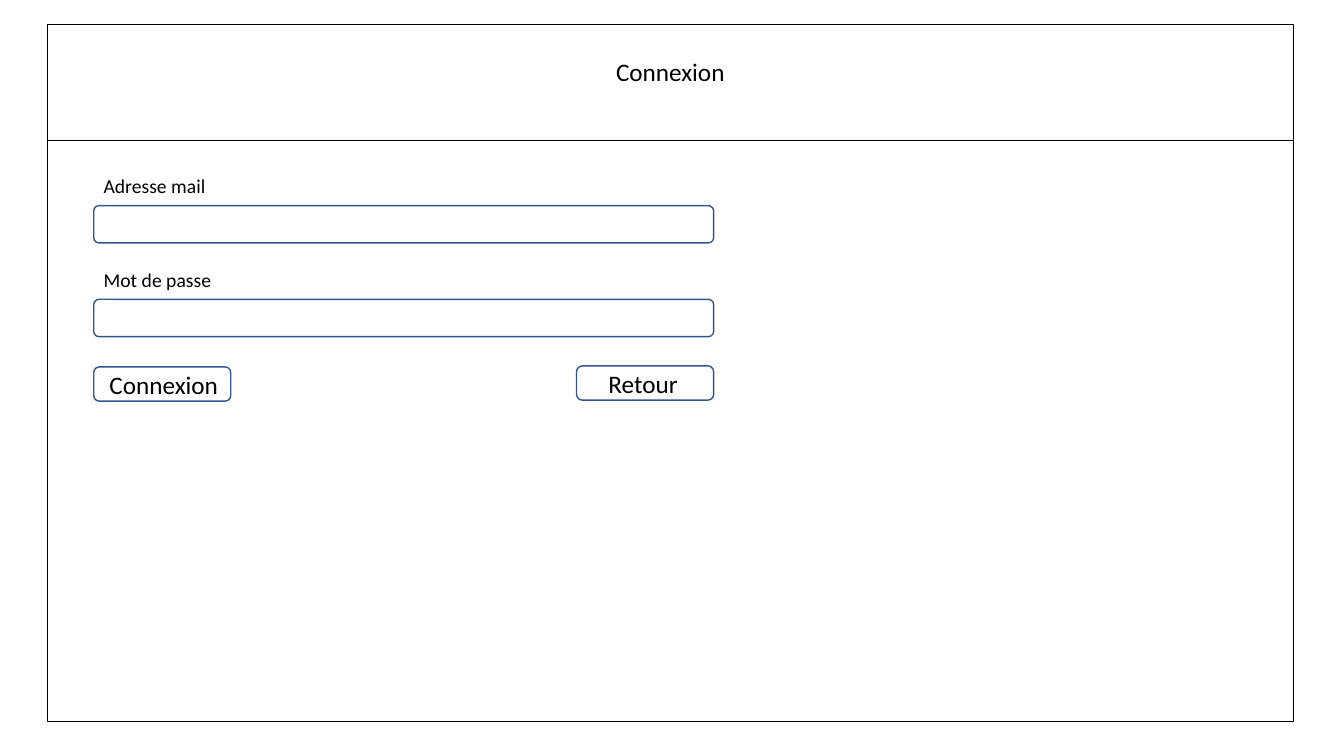
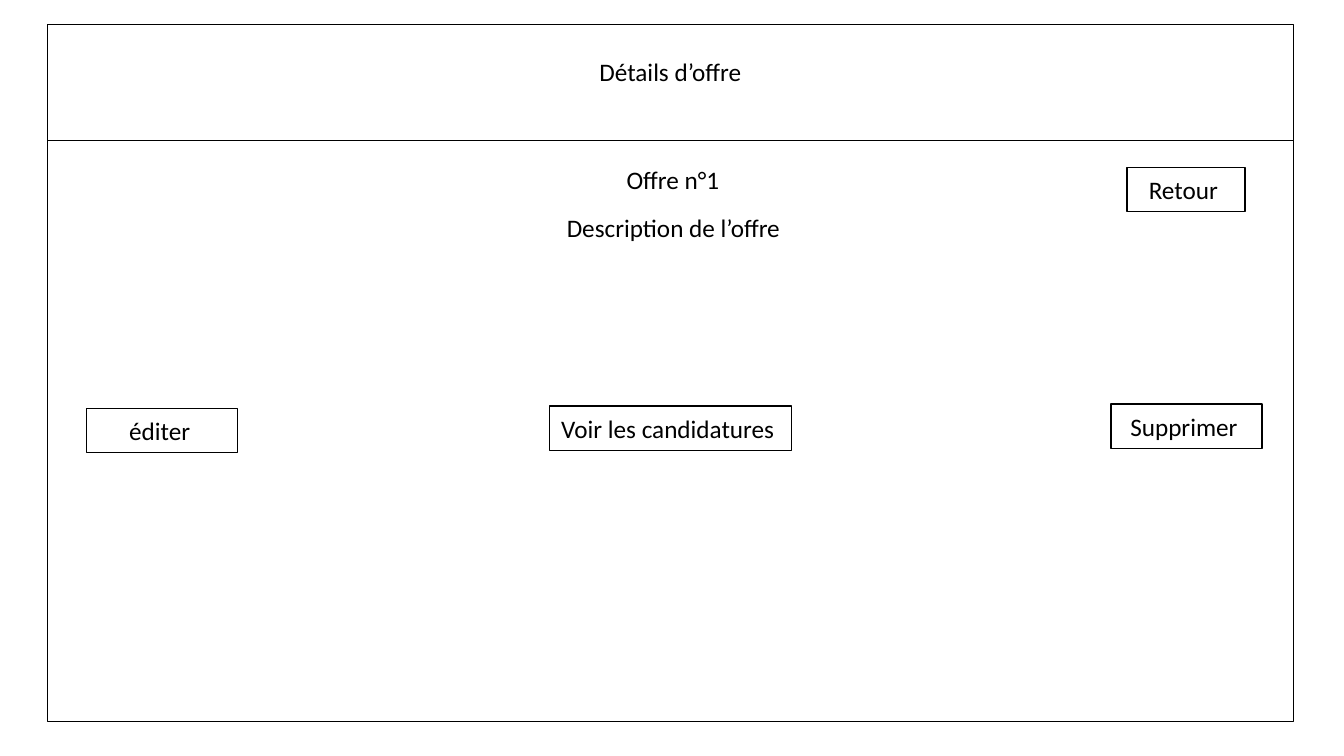
from lxml import etree
from pptx import Presentation, util as u
from pptx.dml.color import RGBColor
from pptx.enum import shapes, text
from pptx.oxml.ns import qn

INK = {"black": "000000", "blue": "325491"}
CELL = u.Inches(0.1)
COLS, ROWS = 133.33, 75


def grid(*cells):
    return [round(cell * CELL) for cell in cells]


class Page:
    font = "Calibri"
    frame = (4.7, 2.4, 123.6, 69.2)
    rule = 13.9
    kinds = shapes.MSO_SHAPE

    def __init__(self, deck, title):
        self.slide = deck.slides.add_slide(deck.slide_layouts[6])
        self.box(self.frame)
        left, _, width, _ = self.frame
        self.line(left, self.rule, left + width, self.rule)
        self.label((41.6, 5.1, 49.8, 4), title, center=True)

    def line(self, *ends):
        line = self.slide.shapes.add_connector(
            shapes.MSO_CONNECTOR.STRAIGHT, *grid(*ends))
        line.line.color.rgb = RGBColor.from_string(INK["black"])
        line.line.width = u.Pt(0.5)
        etree.SubElement(line._element.spPr, qn("a:effectLst"))

    def box(self, area, color="black", kind=kinds.RECTANGLE):
        box = self.slide.shapes.add_shape(kind, *grid(*area))
        box.shadow.inherit = False
        box.fill.background()
        box.line.color.rgb = RGBColor.from_string(INK[color])
        box.line.width = u.Pt(1)
        return box

    def add_words(self, frame, words, size, center):
        para = frame.paragraphs[0]
        para.alignment = text.PP_ALIGN.CENTER if center else text.PP_ALIGN.LEFT
        run = para.add_run()
        run.text = words
        run.font.name = self.font
        run.font.size = u.Pt(size)
        run.font.color.rgb = RGBColor.from_string(INK["black"])

    def label(self, area, words, size=18, center=False):
        frame = self.slide.shapes.add_textbox(*grid(*area)).text_frame
        frame.word_wrap = True
        frame.auto_size = text.MSO_AUTO_SIZE.SHAPE_TO_FIT_TEXT
        self.add_words(frame, words, size, center)

    def fill_in(self, box, words, center, left=0, right=0):
        frame = box.text_frame
        frame.margin_left, frame.margin_right = grid(left, right)
        frame.margin_top = frame.margin_bottom = 0
        frame.vertical_anchor = text.MSO_ANCHOR.MIDDLE
        self.add_words(frame, words, 18, center)

    def button(self, area, words):
        self.fill_in(self.box(area), words, True, right=0.5)

    def pill(self, area, words, indent):
        box = self.box(area, "blue", self.kinds.ROUNDED_RECTANGLE)
        self.fill_in(box, words, False, left=indent)

    def field(self, left, top, words):
        box = self.box((left, top, 61.5, 3.7), "blue",
                       self.kinds.ROUNDED_RECTANGLE)
        box.adjustments[0] = 0.14
        self.label((left, top - 3.65, 24.4, 3.4), words, 14)


deck = Presentation()
deck.slide_width, deck.slide_height = grid(COLS, ROWS)

login = Page(deck, "Connexion")
for row, words in enumerate(["Adresse mail", "Mot de passe"]):
    login.field(9.3, 20.4 + 9.3 * row, words)
login.pill((9.3, 36.4, 13.6, 3.4), "Connexion", 1.4)
login.pill((57.2, 36.3, 13.6, 3.4), "Retour", 3)

offer = Page(deck, "Détails d’offre")
offer.label((55, 15.8, 23.5, 4), "Offre n°1", center=True)
offer.label((49.4, 20.6, 34.8, 4), "Description de l’offre", center=True)
for left, top, width, words in [
    (111.8, 16.6, 11.7, "Retour"),
    (8.6, 40.5, 15, "éditer"),
    (54.5, 40.3, 24, "Voir les candidatures"),
    (110.2, 40.1, 15, "Supprimer"),
]:
    offer.button((left, top, width, 4.4), words)

deck.save("out.pptx")
